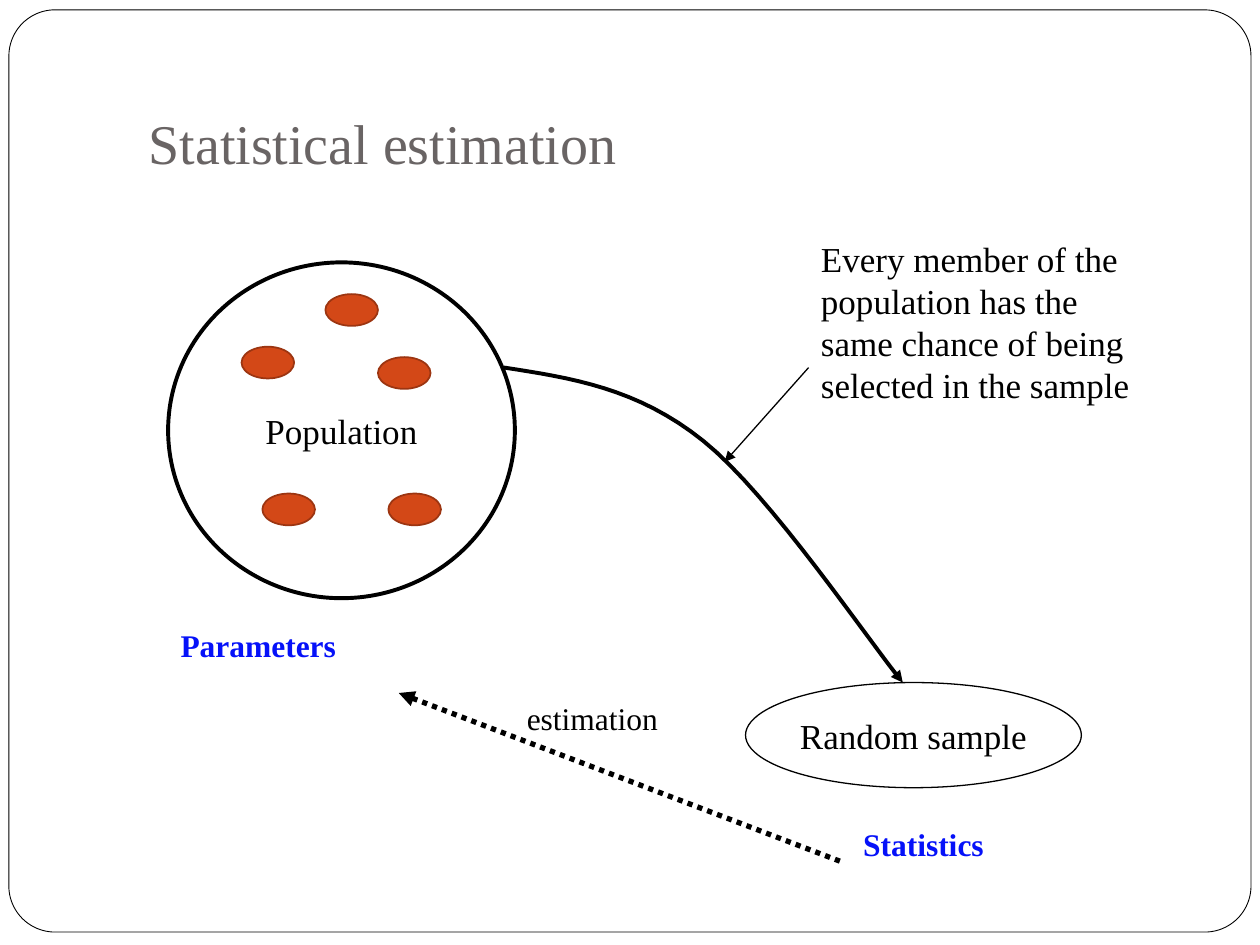
from typing import NamedTuple

from lxml import etree
from pptx import Presentation
from pptx.dml.color import RGBColor
from pptx.enum.dml import MSO_LINE
from pptx.enum.shapes import MSO_CONNECTOR, MSO_SHAPE
from pptx.enum.text import MSO_ANCHOR, PP_ALIGN
from pptx.oxml.ns import qn
from pptx.util import Cm, Pt

OVAL = MSO_SHAPE.OVAL
ROUNDED = MSO_SHAPE.ROUNDED_RECTANGLE
STRAIGHT = MSO_CONNECTOR.STRAIGHT
DOTTED = MSO_LINE.ROUND_DOT
MIDDLE = MSO_ANCHOR.MIDDLE
LEFT, CENTER = PP_ALIGN.LEFT, PP_ALIGN.CENTER

BLACK = RGBColor(0x00, 0x00, 0x00)
WHITE = RGBColor(0xFF, 0xFF, 0xFF)
GRAY = RGBColor(0x69, 0x64, 0x64)
BLUE = RGBColor(0x05, 0x11, 0xF9)
ORANGE = RGBColor(0xD3, 0x48, 0x17)
RUST = RGBColor(0x9C, 0x35, 0x11)
FONT = "Times New Roman"
CURVE_STEPS = 16


class Area(NamedTuple):
    """A rectangle in centimetres."""
    left: float
    top: float
    width: float
    height: float

    def lengths(self):
        return [Cm(value) for value in self]


class Point(NamedTuple):
    x: float
    y: float


class Group(NamedTuple):
    name: str
    area: Area
    border: float


class Label(NamedTuple):
    text: str
    area: Area
    size: int
    color: RGBColor = BLACK
    bold: bool = False


class Arrow(NamedTuple):
    start: Point
    end: Point
    width: float
    dash: MSO_LINE | None = None


FRAME = Area(0.18, 0.2, 25.04, 18.59)
TITLE = Label("Statistical estimation", Area(2.74, 1.27, 21.59, 3.18), 32, GRAY)
GROUPS = [
    Group("Population", Area(3.39, 5.29, 6.99, 6.77), 2.25),
    Group("Random sample", Area(15.03, 13.76, 6.77, 2.12), 0.75),
]
LABELS = [
    Label("Parameters", Area(3.39, 12.5, 5, 1.19), 18, BLUE, True),
    Label("Statistics", Area(17.15, 16.51, 4.11, 1.19), 18, BLUE, True),
    Label("estimation", Area(10.37, 13.97, 4.06, 1.19), 18),
]
NOTE = Label(
    "Every member of the\npopulation has the\nsame chance of being\nselected in the sample",
    Area(16.3, 4.66, 8.26, 4.14), 20)
ARROWS = [
    Arrow(Point(16.3, 7.41), Point(14.61, 9.31), 0.75),
    Arrow(Point(16.93, 17.36), Point(8.04, 13.97), 3, DOTTED),
]
SAMPLING_CURVE = [
    [Point(10.16, 7.41), Point(11.51, 7.62), Point(12.85, 7.82), Point(14.18, 8.89)],
    [Point(14.18, 8.89), Point(15.52, 9.96), Point(17.53, 12.95), Point(18.2, 13.76)],
]
MEMBER_SIZE = (1.06, 0.64)
MEMBERS = [Point(6.56, 5.93), Point(7.62, 7.2), Point(4.87, 6.99),
           Point(5.29, 9.95), Point(7.83, 9.95)]


def format_text(frame, label: Label, align=LEFT) -> None:
    frame.text = label.text
    for para in frame.paragraphs:
        para.alignment = align
        for span in para.runs:
            span.font.name = FONT
            span.font.size = Pt(label.size)
            span.font.bold = label.bold
            span.font.color.rgb = label.color


def add_outline(slide, kind, area: Area, fill: RGBColor, border: RGBColor, width: float):
    shape = slide.shapes.add_shape(kind, *area.lengths())
    shape.shadow.inherit = False
    shape.fill.solid()
    shape.fill.fore_color.rgb = fill
    shape.line.color.rgb = border
    shape.line.width = Pt(width)
    return shape


def add_group(slide, group: Group) -> None:
    oval = add_outline(slide, OVAL, group.area, WHITE, BLACK, group.border)
    frame = oval.text_frame
    frame.word_wrap = False
    frame.vertical_anchor = MIDDLE
    format_text(frame, Label(group.name, group.area, 20), CENTER)


def add_label(slide, label: Label):
    box = slide.shapes.add_textbox(*label.area.lengths())
    box.text_frame.word_wrap = True
    format_text(box.text_frame, label)
    return box


def add_arrowhead(shape) -> None:
    outline = shape._element.spPr.find(qn("a:ln"))
    etree.SubElement(outline, qn("a:tailEnd"), type="triangle")


def add_arrow(slide, arrow: Arrow) -> None:
    ends = [Cm(value) for value in (*arrow.start, *arrow.end)]
    connector = slide.shapes.add_connector(STRAIGHT, *ends)
    connector.line.color.rgb = BLACK
    connector.line.width = Pt(arrow.width)
    if arrow.dash is not None:
        connector.line.dash_style = arrow.dash
    add_arrowhead(connector)
    etree.SubElement(connector._element.spPr, qn("a:effectLst"))


def bezier(points: list[Point], t: float) -> tuple[Cm, Cm]:
    """Return the place at t on a cubic curve with four control points."""
    u = 1 - t
    weights = (u ** 3, 3 * u * u * t, 3 * u * t * t, t ** 3)
    x, y = (sum(w * value for w, value in zip(weights, axis)) for axis in zip(*points))
    return Cm(x), Cm(y)


def add_curve(slide, segments: list[list[Point]]) -> None:
    start = segments[0][0]
    builder = slide.shapes.build_freeform(Cm(start.x), Cm(start.y))
    builder.add_line_segments(
        [bezier(points, step / CURVE_STEPS)
         for points in segments for step in range(1, CURVE_STEPS + 1)], close=False)
    curve = builder.convert_to_shape()
    curve.shadow.inherit = False
    curve.fill.background()
    curve.line.color.rgb = BLACK
    curve.line.width = Pt(2.25)
    add_arrowhead(curve)


def add_title(slide, label: Label) -> None:
    title = slide.shapes.title
    title.left, title.top, title.width, title.height = label.area.lengths()
    title.text_frame.vertical_anchor = MIDDLE
    format_text(title.text_frame, label)


def main() -> None:
    deck = Presentation()
    deck.slide_width, deck.slide_height = Cm(25.4), Cm(19.05)
    slide = deck.slides.add_slide(deck.slide_layouts[5])

    frame = add_outline(slide, ROUNDED, FRAME, WHITE, BLACK, 0.5)
    frame.adjustments[0] = 0.05
    tree = slide.shapes._spTree
    tree.remove(frame._element)
    tree.insert(2, frame._element)  # behind the title

    add_title(slide, TITLE)
    add_group(slide, GROUPS[0])
    add_curve(slide, SAMPLING_CURVE)
    add_group(slide, GROUPS[1])
    for label in LABELS:
        add_label(slide, label)
    note = add_label(slide, NOTE)
    for para in note.text_frame.paragraphs:
        para.line_spacing = Pt(24)
    for arrow in ARROWS:
        add_arrow(slide, arrow)
    for member in MEMBERS:
        add_outline(slide, OVAL, Area(*member, *MEMBER_SIZE), ORANGE, RUST, 1)

    deck.save("out.pptx")


if __name__ == "__main__":
    main()
